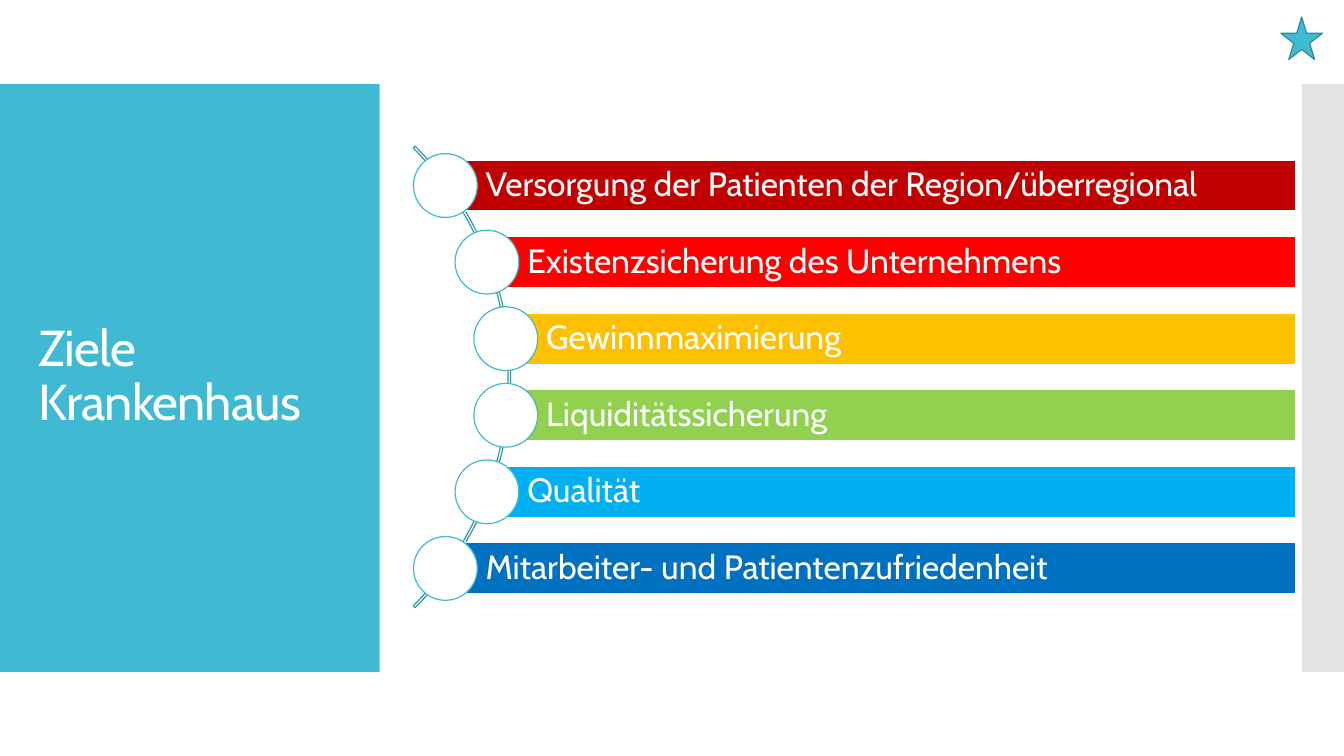
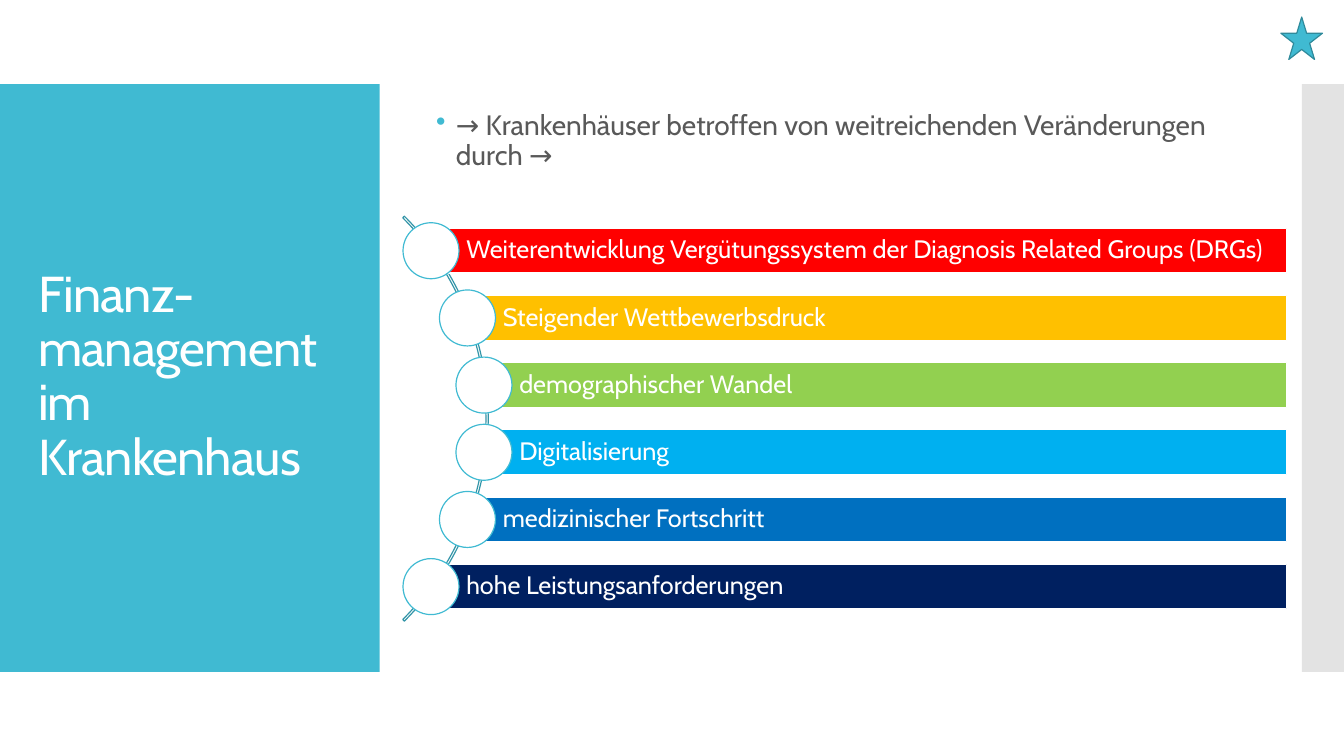
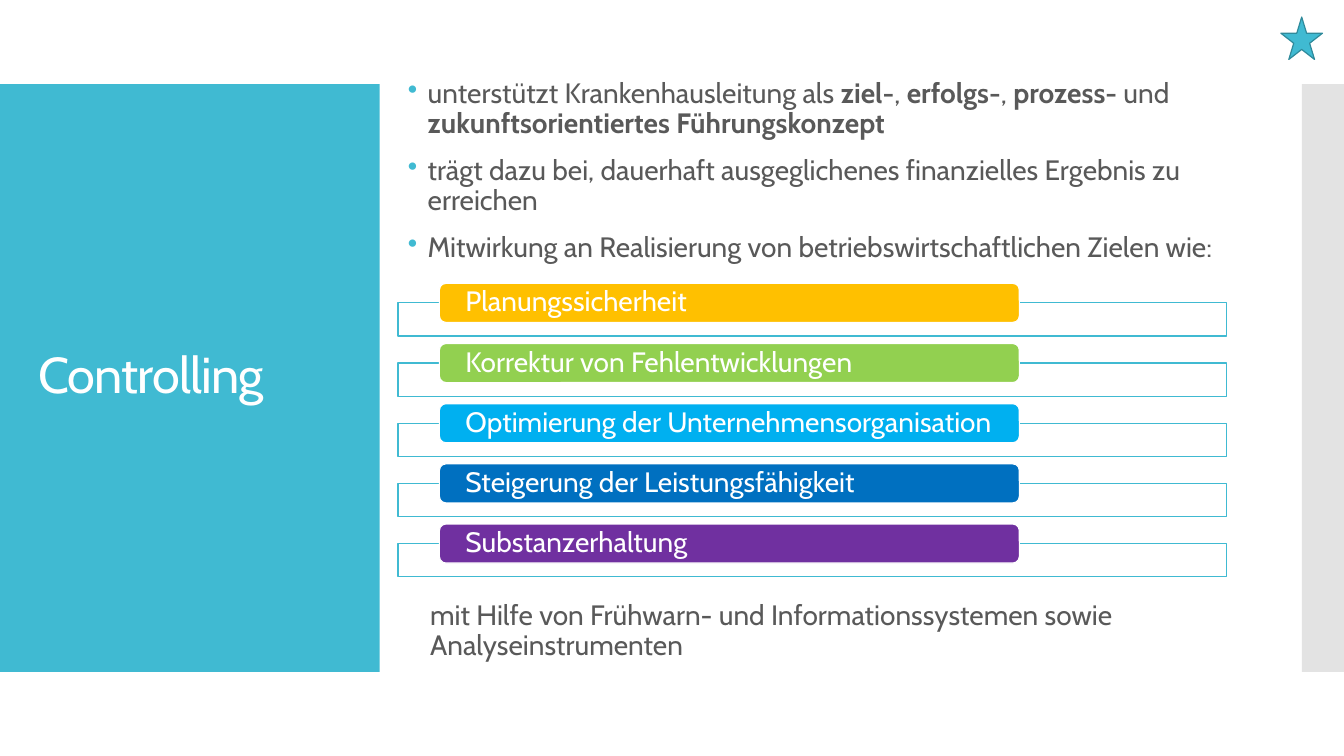
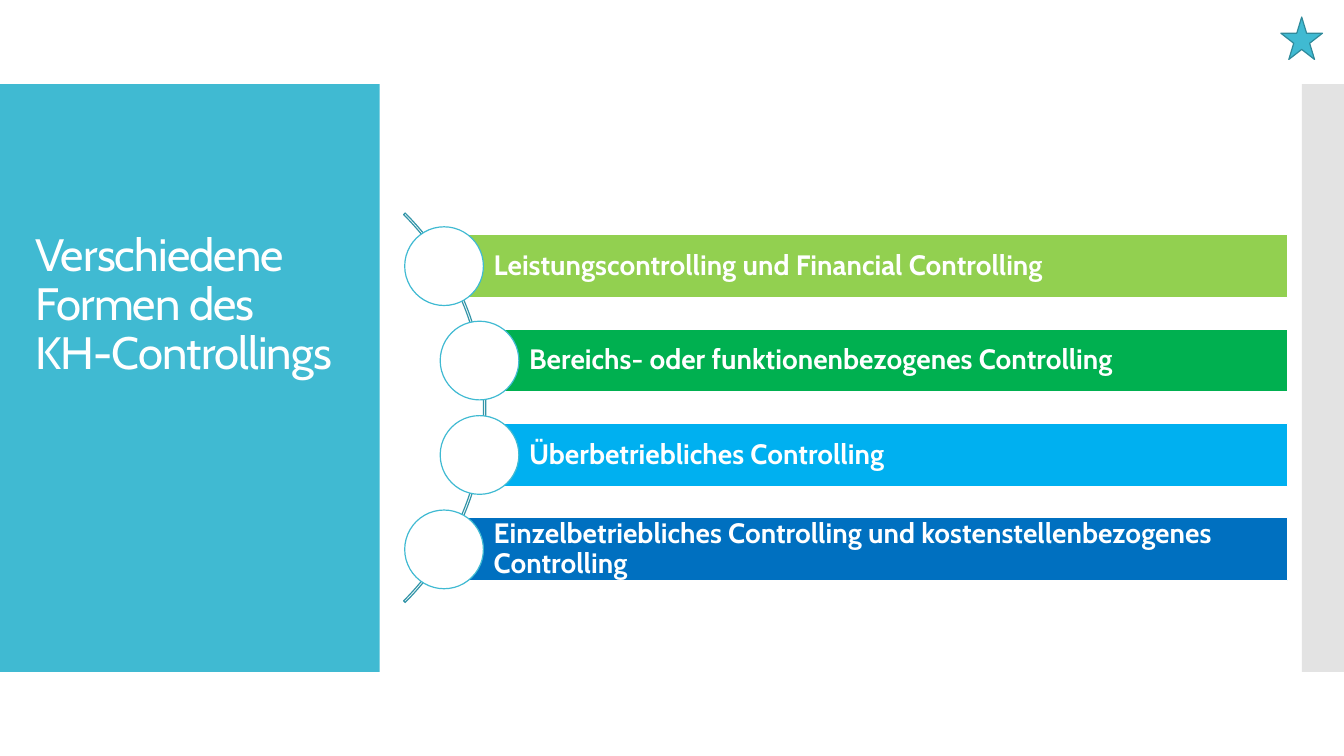
from lxml.etree import SubElement as Sub
from pptx import Presentation
from pptx.dml.color import RGBColor as Rgb
from pptx.enum.shapes import MSO_SHAPE as Shape
from pptx.enum.text import MSO_ANCHOR as Anchor, PP_ALIGN as Align
from pptx.oxml.ns import qn
from pptx.util import Cm, Pt

FONT = "Cabin"
HAIR = 0.85
COLORS = {
    "teal": "40BAD2", "arc": "3395A8", "edge": "2F8A9B", "side": "C8C8C8",
    "white": "FFFFFF", "text": "595959", "wine": "C00000", "red": "FF0000",
    "amber": "FFC000", "lime": "92D050", "green": "00B050", "sky": "00B0F0",
    "blue": "0070C0", "navy": "002060", "violet": "7030A0",
}
TITLE_BOX = (0.71, 3.12, 8.18, 12.78)


def rgb(name):
    """Return the named colour."""
    return Rgb.from_string(COLORS[name])


def draw(slide, kind, box, fill=None, line=None, alpha=None):
    """Add a preset shape, sized in centimetres."""
    shape = slide.shapes.add_shape(kind, *map(Cm, box))
    shape.shadow.inherit = False
    if fill:
        shape.fill.solid()
        shape.fill.fore_color.rgb = rgb(fill)
    else:
        shape.fill.background()
    if alpha:
        tint = shape.fill._xPr.find(".//" + qn("a:srgbClr"))
        Sub(tint, qn("a:alpha"), val=str(alpha * 1000))
    if line:
        shape.line.color.rgb = rgb(line)
        shape.line.width = Pt(HAIR)
    else:
        shape.line.fill.background()
    return shape


def style(para, size, color, bold=None):
    """Format a paragraph and its runs."""
    para.alignment = Align.LEFT
    para.line_spacing = 0.9
    for run in para.runs:
        font = run.font
        font.name, font.size = FONT, Pt(size)
        font.color.rgb = rgb(color)
        if bold is not None:
            font.bold = bold


def label(shape, text, size, left, pad=0, bold=None):
    """Write white text into a bar."""
    frame = shape.text_frame
    frame.word_wrap = True
    frame.vertical_anchor = Anchor.MIDDLE
    frame.margin_left = Cm(left)
    frame.margin_right = frame.margin_top = frame.margin_bottom = Cm(pad)
    frame.text = text
    style(frame.paragraphs[0], size, "white", bold)


def textbox(slide, box, anchor=Anchor.TOP):
    """Add a wrapping text box and return its frame."""
    frame = slide.shapes.add_textbox(*map(Cm, box)).text_frame
    frame.word_wrap = True
    frame.vertical_anchor = anchor
    return frame


def title(slide, text, box, size):
    """Write the slide title."""
    para = textbox(slide, box, Anchor.MIDDLE).paragraphs[0]
    para.text = text
    style(para, size, "white")
    for run in para.runs:
        run._r.get_or_add_rPr().set("spc", "-60")


def bullets(slide, box, items):
    """Write bulleted items, each a list of plain and bold parts in turn."""
    frame = textbox(slide, box)
    for row, parts in enumerate(items):
        para = frame.add_paragraph() if row else frame.paragraphs[0]
        for part in parts:
            para.add_run().text = part
        style(para, 20, "text")
        for run in para.runs[1::2]:
            run.font.bold = True
        para.space_before = Pt(12)
        props = para._p.get_or_add_pPr()
        props.set("marL", str(Cm(0.5)))
        props.set("indent", str(-Cm(0.5)))
        tint = Sub(props, qn("a:buClr"))
        Sub(tint, qn("a:srgbClr"), val=COLORS["teal"])
        Sub(props, qn("a:buChar"), char="•")


def ladder(slide, box, items, size, bold=None):
    """Place bars with round heads along an arc."""
    left, top, width, height = box
    step = height / (len(items) + 1 / 3)
    bar, head = step * 2 / 3, step * 5 / 6
    radius = 0.673 * height
    hub, mid = left - 0.707 * radius, top + height / 2
    arc = draw(slide, Shape.BLOCK_ARC,
               (hub - radius, mid - radius, 2 * radius, 2 * radius), line="arc")
    for slot, value in enumerate((189, 27, 0.004)):
        arc.adjustments[slot] = value
    for row, (text, fill) in enumerate(items):
        rise = (row - (len(items) - 1) / 2) * step
        x = hub + ((0.992 * radius) ** 2 - rise ** 2) ** 0.5
        y = mid + rise
        shape = draw(slide, Shape.RECTANGLE,
                     (x, y - bar / 2, left + width - x, bar), fill, "white")
        label(shape, text, size, 0.79 * bar, 0.15, bold)
        draw(slide, Shape.OVAL,
             (x - head / 2, y - head / 2, head, head), "white", "teal")


def tabs(slide, box, items):
    """Stack frames that each carry a rounded tab."""
    left, top, width, height = box
    step = height / (len(items) - 0.125)
    for row, (text, fill) in enumerate(items):
        y = top + row * step
        draw(slide, Shape.RECTANGLE,
             (left, y + 0.325 * step, width, 0.55 * step), "white", "teal", 90)
        tab = draw(slide, Shape.ROUNDED_RECTANGLE,
                   (left + 0.05 * width, y, 0.7 * width, 0.65 * step),
                   fill, "white")
        label(tab, text, 20, 0.61)


def base(deck, text, box=TITLE_BOX, size=36):
    """Add a slide with panel, side band, star and title."""
    slide = deck.slides.add_slide(deck.slide_layouts[6])
    draw(slide, Shape.RECTANGLE, (0, 2.12, 9.57, 14.81), "teal")
    draw(slide, Shape.RECTANGLE, (32.81, 2.12, 1.06, 14.81), "side", alpha=50)
    draw(slide, Shape.STAR_5_POINT, (32.28, 0.43, 1.05, 1.07), "teal", "edge")
    title(slide, text, box, size)
    return slide


def goals(deck):
    """Build the slide on hospital goals."""
    slide = base(deck, "Ziele Krankenhaus")
    ladder(slide, (10.46, 3.39, 22.2, 12.22), [
        ("Versorgung der Patienten der Region/überregional", "wine"),
        ("Existenzsicherung des Unternehmens", "red"),
        ("Gewinnmaximierung", "amber"),
        ("Liquiditätssicherung", "lime"),
        ("Qualität", "sky"),
        ("Mitarbeiter- und Patientenzufriedenheit", "blue"),
    ], 24)


def finance(deck):
    """Build the slide on financial management."""
    slide = base(deck, "Finanz-management im Krankenhaus")
    bullets(slide, (10.74, 2.67, 20.32, 2.3), [
        ["→ Krankenhäuser betroffen von weitreichenden Veränderungen durch →"],
    ])
    ladder(slide, (10.19, 5.19, 22.24, 10.72), [
        ("Weiterentwicklung Vergütungssystem der Diagnosis Related Groups (DRGs)",
         "red"),
        ("Steigender Wettbewerbsdruck", "amber"),
        ("demographischer Wandel", "lime"),
        ("Digitalisierung", "sky"),
        ("medizinischer Fortschritt", "blue"),
        ("hohe Leistungsanforderungen", "navy"),
    ], 18)


def control(deck):
    """Build the slide on controlling."""
    slide = base(deck, "Controlling")
    bullets(slide, (10.03, 1.87, 22.63, 5.3), [
        ["unterstützt Krankenhausleitung als ", "ziel-", ", ", "erfolgs-", ", ",
         "prozess- ", "und ", "zukunftsorientiertes Führungskonzept"],
        ["trägt dazu bei, dauerhaft ausgeglichenes finanzielles Ergebnis zu "
         "erreichen"],
        ["Mitwirkung an Realisierung von betriebswirtschaftlichen Zielen wie:"],
    ])
    tabs(slide, (10.03, 7.14, 20.88, 7.39), [
        ("Planungssicherheit", "amber"),
        ("Korrektur von Fehlentwicklungen", "lime"),
        ("Optimierung der Unternehmensorganisation", "sky"),
        ("Steigerung der Leistungsfähigkeit", "blue"),
        ("Substanzerhaltung", "violet"),
    ])
    para = textbox(slide, (10.59, 15.02, 22.07, 1.8)).paragraphs[0]
    para.text = ("mit Hilfe von Frühwarn- und Informationssystemen sowie "
                 "Analyseinstrumenten")
    style(para, 20, "text")


def forms(deck):
    """Build the slide on forms of controlling."""
    slide = base(deck, "Verschiedene\nFormen des\nKH-Controllings",
                 (0.64, 5.69, 28.6, 4.04), 32.4)
    ladder(slide, (10.21, 5.12, 22.24, 10.31), [
        ("Leistungscontrolling und Financial Controlling", "lime"),
        ("Bereichs- oder funktionenbezogenes Controlling", "green"),
        ("Überbetriebliches Controlling", "sky"),
        ("Einzelbetriebliches Controlling und kostenstellenbezogenes Controlling",
         "blue"),
    ], 20, True)


def main():
    """Build and save the deck."""
    deck = Presentation()
    deck.slide_width, deck.slide_height = Cm(33.87), Cm(19.05)
    for build in (goals, finance, control, forms):
        build(deck)
    deck.save("out.pptx")


if __name__ == "__main__":
    main()
